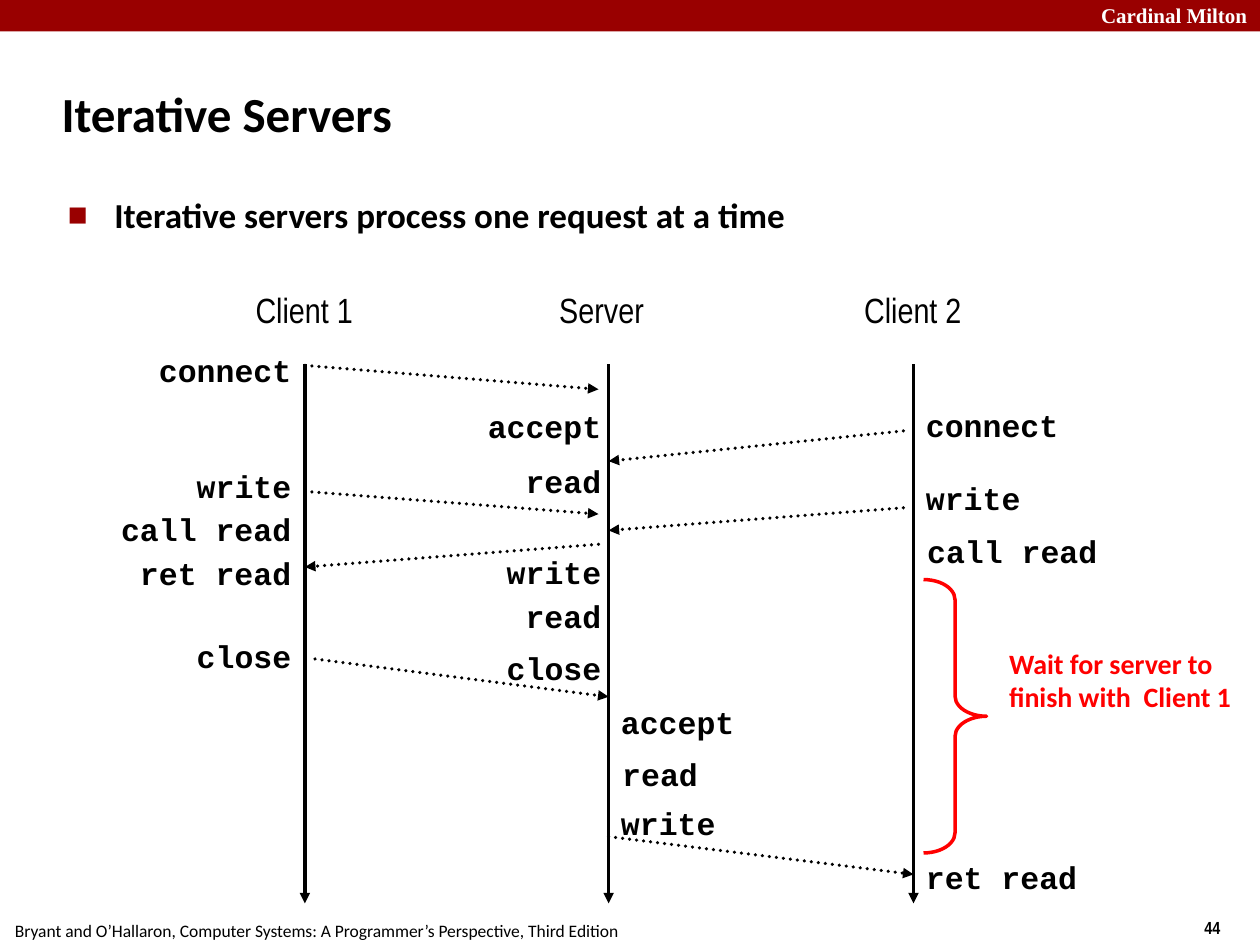
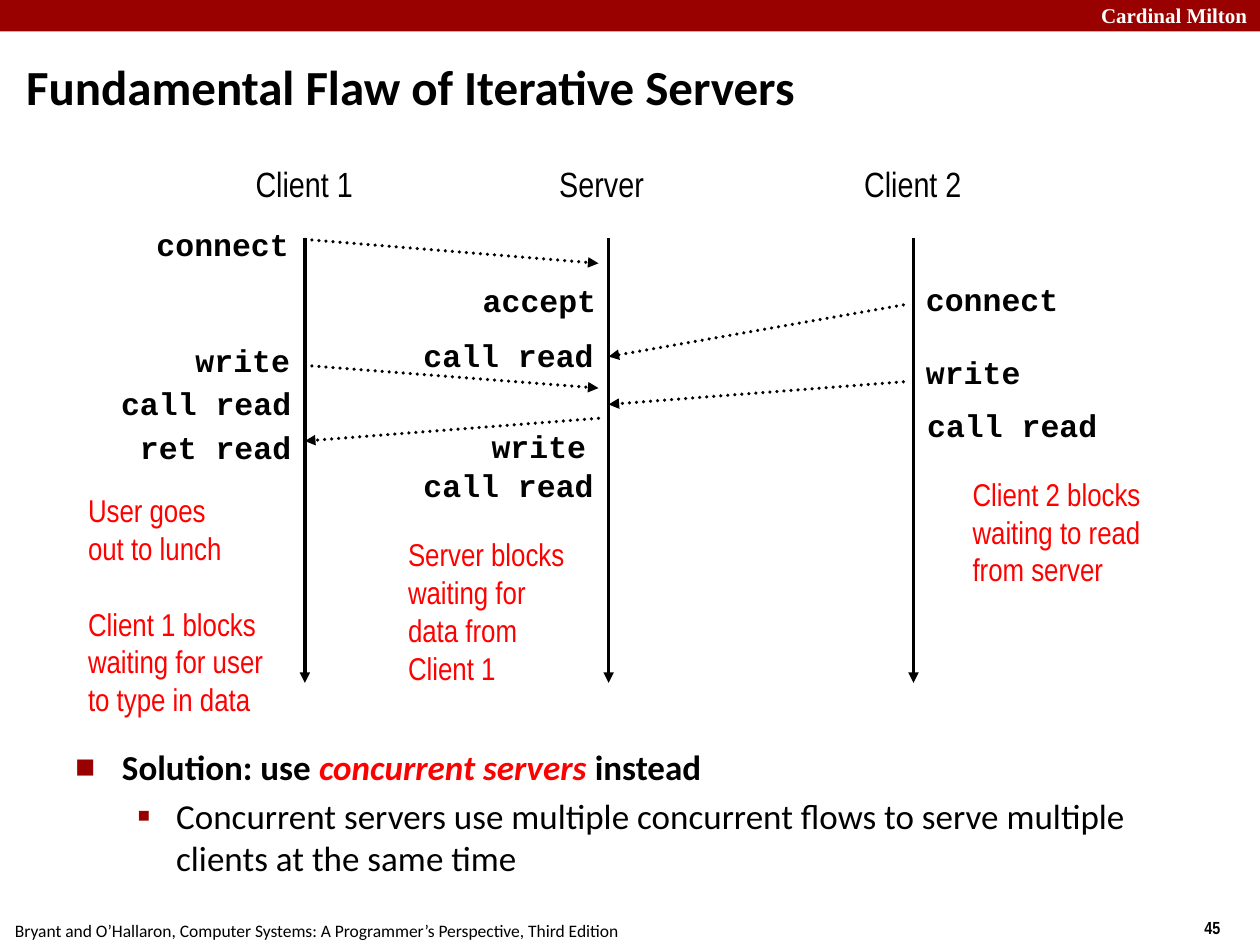
from lxml import etree
from pptx import Presentation
from pptx.dml.color import RGBColor
from pptx.enum.dml import MSO_LINE
from pptx.enum.shapes import MSO_CONNECTOR, MSO_SHAPE
from pptx.enum.text import MSO_ANCHOR, PP_ALIGN
from pptx.oxml.ns import qn
from pptx.util import Inches, Pt

STRAIGHT = MSO_CONNECTOR.STRAIGHT
RECTANGLE, RIGHT_BRACE = MSO_SHAPE.RECTANGLE, MSO_SHAPE.RIGHT_BRACE
LEFT, RIGHT = PP_ALIGN.LEFT, PP_ALIGN.RIGHT
TOP, MIDDLE = MSO_ANCHOR.TOP, MSO_ANCHOR.MIDDLE
DOTTED = MSO_LINE.ROUND_DOT

BLACK, WHITE, CRIMSON, RED = "000000", "FFFFFF", "990000", "FF0000"
BODY_FONT, CODE_FONT = "Calibri", "Courier New"
NARROW_FONT, BRAND_FONT = "Arial Narrow", "Times New Roman"

CLIENT1, SERVER, CLIENT2 = 2.42, 4.83, 7.25
LIFELINE_GAP = 0.08
LIFELINE_START = 0.65
HEADING_WIDTH = 1.1
HEADINGS = [("Client 1", 1.93), ("Server", 4.34), ("Client 2", 6.76)]
SHARED_MESSAGES = [
    (CLIENT1, 0.66, SERVER - LIFELINE_GAP, 0.85),
    (CLIENT1, 1.66, SERVER - LIFELINE_GAP, 1.84),
    (CLIENT2 - LIFELINE_GAP, 1.79, SERVER, 1.97),
    (SERVER - LIFELINE_GAP, 2.08, CLIENT1, 2.26),
]
CLIENT2_CALLS = [("connect", 7.25, 0.93), ("write", 7.25, 1.51), ("call read", 7.26, 1.93)]


def color(hex_value):
    return RGBColor.from_string(hex_value)


def format_runs(paragraph, font, size, hex_value, bold=False):
    for run in paragraph.runs:
        run.font.name = font
        run.font.size = Pt(size)
        run.font.bold = bold
        run.font.color.rgb = color(hex_value)


def add_text(slide, text, box, font, size, hex_value=BLACK, bold=False,
             align=LEFT, anchor=TOP, wrap=False):
    frame = slide.shapes.add_textbox(*map(Inches, box)).text_frame
    frame.word_wrap = wrap
    frame.vertical_anchor = anchor
    frame.text = text
    for paragraph in frame.paragraphs:
        paragraph.alignment = align
        format_runs(paragraph, font, size, hex_value, bold)
    return frame


def add_arrow(slide, x1, y1, x2, y2, dotted=False):
    arrow = slide.shapes.add_connector(STRAIGHT, *map(Inches, (x1, y1, x2, y2)))
    arrow.line.color.rgb = color(BLACK)
    arrow.line.width = Pt(2)
    outline = arrow.line._get_or_add_ln()
    if dotted:
        arrow.line.dash_style = DOTTED
        outline.set("cap", "rnd")
    etree.SubElement(outline, qn("a:tailEnd"), type="triangle")
    etree.SubElement(arrow._element.spPr, qn("a:effectLst"))


def add_bullet(paragraph, symbol, percent, margin, indent, space_before):
    paragraph.space_before = Pt(space_before)
    properties = paragraph._p.get_or_add_pPr()
    properties.set("marL", str(Inches(margin)))
    properties.set("indent", str(Inches(indent)))
    bullet_color = etree.SubElement(properties, qn("a:buClr"))
    etree.SubElement(bullet_color, qn("a:srgbClr"), val=CRIMSON)
    etree.SubElement(properties, qn("a:buSzPct"), val=str(percent * 1000))
    etree.SubElement(properties, qn("a:buFont"), typeface=BODY_FONT)
    etree.SubElement(properties, qn("a:buChar"), char=symbol)


def add_main_point(slide, text, box):
    frame = add_text(slide, text, box, BODY_FONT, 20, bold=True, wrap=True)
    add_bullet(frame.paragraphs[0], "■", 60, 0.38, -0.37, 5.2)
    return frame


def add_frame(prs, title, title_box, number):
    slide = prs.slides.add_slide(prs.slide_layouts[6])
    band = slide.shapes.add_shape(RECTANGLE, 0, 0, prs.slide_width, Inches(0.25))
    band.shadow.inherit = False
    band.fill.solid()
    band.fill.fore_color.rgb = color(CRIMSON)
    band.line.fill.background()
    add_text(slide, "Cardinal Milton", (8.64, -0.03, 1.43, 0.3), BRAND_FONT, 12,
             WHITE, bold=True, wrap=True)
    add_text(slide, str(number), (9.46, 7.23, 0.75, 0.27), NARROW_FONT, 10, bold=True)
    add_text(slide, "Bryant and O’Hallaron, Computer Systems: A Programmer’s Perspective, Third Edition",
             (0.02, 7.25, 5.01, 0.27), BODY_FONT, 10)
    add_text(slide, title, title_box, BODY_FONT, 28, bold=True, anchor=MIDDLE, wrap=True)
    return slide


def add_calls(slide, top, calls, align):
    for call, edge, offset in calls:
        width = 0.2 + 0.15 * len(call)
        left = edge - width if align == RIGHT else edge
        add_text(slide, call, (left, top + offset, width, 0.4), CODE_FONT, 18,
                 bold=True, align=align)


def add_sequence(slide, top, lifeline_end, messages, left_calls, right_calls):
    for heading, left in HEADINGS:
        add_text(slide, heading, (left, top, HEADING_WIDTH, 0.43), NARROW_FONT, 20,
                 wrap=True)
    for x in (CLIENT1, SERVER, CLIENT2):
        add_arrow(slide, x, top + LIFELINE_START, x, top + lifeline_end)
    for x1, y1, x2, y2 in SHARED_MESSAGES + messages:
        add_arrow(slide, x1, top + y1, x2, top + y2, dotted=True)
    add_calls(slide, top, left_calls, RIGHT)
    add_calls(slide, top, CLIENT2_CALLS + right_calls, LEFT)


def add_wait_brace(slide):
    brace = slide.shapes.add_shape(RIGHT_BRACE, *map(Inches, (7.33, 4.6, 0.5, 2.17)))
    brace.adjustments[0] = 0.32
    brace.shadow.inherit = False
    brace.fill.background()
    brace.line.color.rgb = color(RED)
    brace.line.width = Pt(2)
    add_text(slide, "Wait for server to finish with  Client 1", (7.91, 5.08, 2.09, 0.63),
             BODY_FONT, 16, RED, bold=True, wrap=True)


def add_block_note(slide, lines, box):
    return add_text(slide, "\n".join(lines), box, NARROW_FONT, 18, RED)


def build_iterative_servers(prs):
    slide = add_frame(prs, "Iterative Servers", (0.39, 0.48, 8.3, 0.83), 44)
    add_main_point(slide, "Iterative servers process one request at a time",
                   (0.43, 1.49, 8.64, 0.6))
    messages = [
        (CLIENT2 - LIFELINE_GAP, 1.18, SERVER, 1.42),
        (CLIENT1 + LIFELINE_GAP, 2.99, SERVER, 3.29),
        (SERVER, 4.4, CLIENT2, 4.7),
    ]
    client1_calls = [("connect", 0.5), ("write", 1.42), ("call read", 1.76),
                     ("ret read", 2.11), ("close", 2.77)]
    server_calls = [("accept", 0.94), ("read", 1.38), ("write", 2.1),
                    ("read", 2.45), ("close", 2.86)]
    left_calls = ([(call, 2.41, y) for call, y in client1_calls]
                  + [(call, 4.87, y) for call, y in server_calls])
    right_calls = [("accept", 4.83, 3.29), ("read", 4.84, 3.7),
                   ("write", 4.83, 4.09), ("ret read", 7.25, 4.52)]
    add_sequence(slide, 2.24, 4.93, messages, left_calls, right_calls)
    add_wait_brace(slide)


def build_fundamental_flaw(prs):
    slide = add_frame(prs, "Fundamental Flaw of Iterative Servers",
                      (0.11, 0.37, 9.83, 0.63), 45)
    messages = [(CLIENT2 - LIFELINE_GAP, 1.18, SERVER, 1.59)]
    left_calls = [
        ("connect", 2.39, 0.5), ("write", 2.4, 1.42),
        ("call read", 2.41, 1.76), ("ret read", 2.41, 2.11),
        ("accept", 4.83, 0.94), ("call read", 4.81, 1.38),
        ("write", 4.75, 2.1), ("call read", 4.81, 2.41),
    ]
    add_sequence(slide, 1.24, 4.18, messages, left_calls, [])

    lunch_note = add_block_note(
        slide, ["User goes", "out to lunch", "Client 1 blocks", "waiting for user",
                "to type in data"], (0.6, 3.85, 1.59, 1.9))
    lunch_note.paragraphs[2].space_before = Pt(21.6)
    add_block_note(slide, ["Client 2 blocks", "waiting to read", "from server"],
                   (7.62, 3.72, 1.59, 1))
    add_block_note(slide, ["Server blocks", "waiting for", "data from", "Client 1"],
                   (3.14, 4.2, 1.44, 1.3))

    solution = add_main_point(slide, "Solution: use ", (0.49, 5.87, 9.26, 1.26))
    statement = solution.paragraphs[0]
    emphasis = statement.add_run()
    emphasis.text = "concurrent servers "
    statement.add_run().text = "instead"
    format_runs(statement, BODY_FONT, 20, BLACK, bold=True)
    emphasis.font.italic = True
    emphasis.font.color.rgb = color(RED)
    detail = solution.add_paragraph()
    detail.text = ("Concurrent servers use multiple concurrent flows to serve "
                   "multiple clients at the same time")
    detail.level = 1
    format_runs(detail, BODY_FONT, 20, BLACK)
    add_bullet(detail, "▪", 110, 0.81, -0.31, 4)


def main():
    prs = Presentation()
    prs.slide_width, prs.slide_height = Inches(10), Inches(7.5)
    build_iterative_servers(prs)
    build_fundamental_flaw(prs)
    prs.save("out.pptx")


if __name__ == "__main__":
    main()
